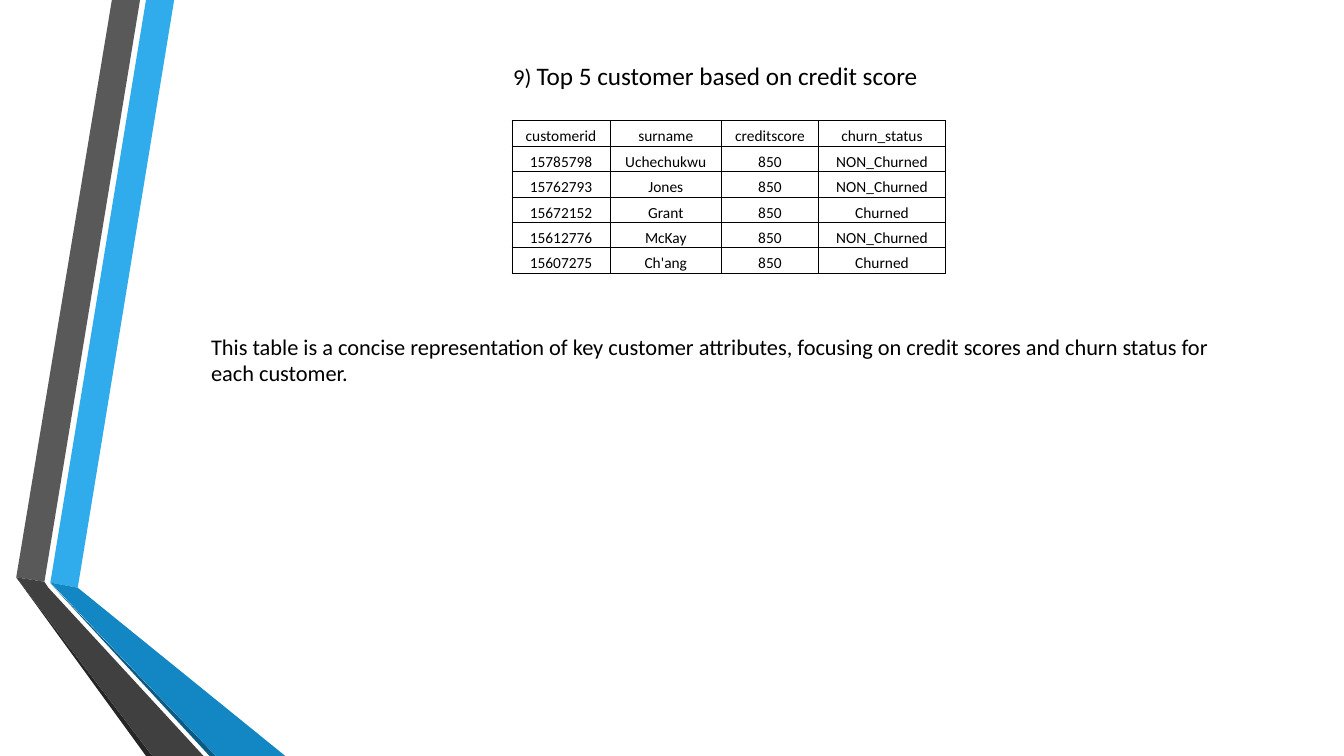
from dataclasses import dataclass

import lxml.etree
import pptx
import pptx.dml.color
import pptx.enum.text
import pptx.oxml.ns
import pptx.presentation
import pptx.slide
import pptx.table
import pptx.text.text
import pptx.util
from pptx.util import Cm


@dataclass(frozen=True)
class Theme:
    font: str = "Calibri"
    text: str = "000000"
    title_number_size: float = 16.2
    title_size: float = 18
    body_size: float = 16
    table_size: float = 11
    border_width: float = 0.5
    blue: str = "30ACEC"
    blue_fold: str = "1287C3"
    blue_edge: str = "0C5A82"
    grey: str = "595959"
    grey_fold: str = "404040"
    grey_edge: str = "262626"


@dataclass(frozen=True)
class Ribbon:
    """One face of the folded ribbons, with its corners in centimetres."""
    color: str
    corners: tuple[tuple[float, float], ...]


@dataclass(frozen=True)
class Column:
    heading: str
    width: float
    values: tuple[str, ...]


THEME = Theme()
SLIDE_WIDTH, SLIDE_HEIGHT = 33.87, 19.05
ROW_HEIGHT = 0.64

RIBBONS = (
    Ribbon(THEME.blue, ((1.27, 14.68), (1.96, 14.81), (4.39, 0), (3.68, 0))),
    Ribbon(THEME.grey, ((3.53, 0), (2.82, 0), (0.41, 14.55), (1.12, 14.66))),
    Ribbon(THEME.grey_edge, ((0.41, 14.55), (3.68, SLIDE_HEIGHT), (3.84, SLIDE_HEIGHT))),
    Ribbon(THEME.blue_edge, ((1.27, 14.7), (5.28, SLIDE_HEIGHT), (5.44, SLIDE_HEIGHT))),
    Ribbon(THEME.blue_fold,
           ((1.27, 14.68), (5.44, SLIDE_HEIGHT), (7.19, SLIDE_HEIGHT), (1.96, 14.81))),
    Ribbon(THEME.grey_fold,
           ((0.41, 14.55), (3.84, SLIDE_HEIGHT), (5.13, SLIDE_HEIGHT), (1.22, 14.81), (1.12, 14.66))),
)

COLUMNS = (
    Column("customerid", 2.48, ("15785798", "15762793", "15672152", "15612776", "15607275")),
    Column("surname", 2.8, ("Uchechukwu", "Jones", "Grant", "McKay", "Ch'ang")),
    Column("creditscore", 2.45, ("850",) * 5),
    Column("churn_status", 3.2, ("NON_Churned", "NON_Churned", "Churned", "NON_Churned", "Churned")),
)

SUMMARY = (
    "This table is a concise representation of key customer attributes, "
    "focusing on credit scores and churn status for each customer."
)


def format_font(font: pptx.text.text.Font, size: float) -> None:
    font.name = THEME.font
    font.size = pptx.util.Pt(size)
    font.color.rgb = pptx.dml.color.RGBColor.from_string(THEME.text)


def draw_ribbon(slide: pptx.slide.Slide, ribbon: Ribbon) -> None:
    start, *others = [(Cm(x), Cm(y)) for x, y in ribbon.corners]
    builder = slide.shapes.build_freeform(*start)
    builder.add_line_segments(others, close=True)
    shape = builder.convert_to_shape()
    shape.shadow.inherit = False
    shape.fill.solid()
    shape.fill.fore_color.rgb = pptx.dml.color.RGBColor.from_string(ribbon.color)
    shape.line.fill.background()


def draw_title(slide: pptx.slide.Slide) -> None:
    title = slide.shapes.title
    title.left, title.top, title.width, title.height = Cm(4.11), Cm(0.97), Cm(27.84), Cm(1.85)
    frame = title.text_frame
    frame.word_wrap = True
    frame.vertical_anchor = pptx.enum.text.MSO_ANCHOR.MIDDLE
    paragraph = frame.paragraphs[0]
    paragraph.alignment = pptx.enum.text.PP_ALIGN.CENTER
    for text, size in (
        ("9) ", THEME.title_number_size),
        ("Top 5 customer based on credit score", THEME.title_size),
    ):
        run = paragraph.add_run()
        run.text = text
        format_font(run.font, size)


def add_borders(cell: pptx.table._Cell) -> None:
    properties = cell._tc.get_or_add_tcPr()
    qualify = pptx.oxml.ns.qn
    for position, side in enumerate(("a:lnL", "a:lnR", "a:lnT", "a:lnB")):
        line = lxml.etree.Element(qualify(side), w=str(pptx.util.Pt(THEME.border_width)))
        fill = lxml.etree.SubElement(line, qualify("a:solidFill"))
        lxml.etree.SubElement(fill, qualify("a:srgbClr"), val=THEME.text)
        properties.insert(position, line)


def fill_cell(cell: pptx.table._Cell, text: str) -> None:
    cell.fill.background()
    cell.margin_left = cell.margin_right = cell.margin_top = Cm(0.02)
    cell.margin_bottom = 0
    cell.vertical_anchor = pptx.enum.text.MSO_ANCHOR.BOTTOM
    paragraph = cell.text_frame.paragraphs[0]
    paragraph.text = text
    paragraph.alignment = pptx.enum.text.PP_ALIGN.CENTER
    format_font(paragraph.font, THEME.table_size)
    add_borders(cell)


def draw_table(slide: pptx.slide.Slide) -> None:
    row_count = 1 + len(COLUMNS[0].values)
    width = sum(column.width for column in COLUMNS)
    table = slide.shapes.add_table(
        row_count, len(COLUMNS), Cm(12.9), Cm(3.04), Cm(width), Cm(ROW_HEIGHT * row_count)
    ).table
    table.first_row = table.horz_banding = False
    for row in table.rows:
        row.height = Cm(ROW_HEIGHT)
    for column_index, column in enumerate(COLUMNS):
        table.columns[column_index].width = Cm(column.width)
        for row_index, text in enumerate((column.heading, *column.values)):
            fill_cell(table.cell(row_index, column_index), text)


def draw_summary(slide: pptx.slide.Slide) -> None:
    box = slide.shapes.add_textbox(Cm(5.07), Cm(8.26), Cm(25.96), Cm(1.63))
    frame = box.text_frame
    frame.word_wrap = True
    frame.auto_size = pptx.enum.text.MSO_AUTO_SIZE.SHAPE_TO_FIT_TEXT
    paragraph = frame.paragraphs[0]
    paragraph.text = SUMMARY
    format_font(paragraph.font, THEME.body_size)


def main() -> None:
    presentation = pptx.Presentation()
    presentation.slide_width, presentation.slide_height = Cm(SLIDE_WIDTH), Cm(SLIDE_HEIGHT)
    title_only = presentation.slide_layouts.get_by_name("Title Only")
    slide = presentation.slides.add_slide(title_only)

    # Folded ribbons along the left edge
    for ribbon in RIBBONS:
        draw_ribbon(slide, ribbon)

    # Title, customer table and summary
    draw_title(slide)
    draw_table(slide)
    draw_summary(slide)

    presentation.save("out.pptx")


if __name__ == "__main__":
    main()
